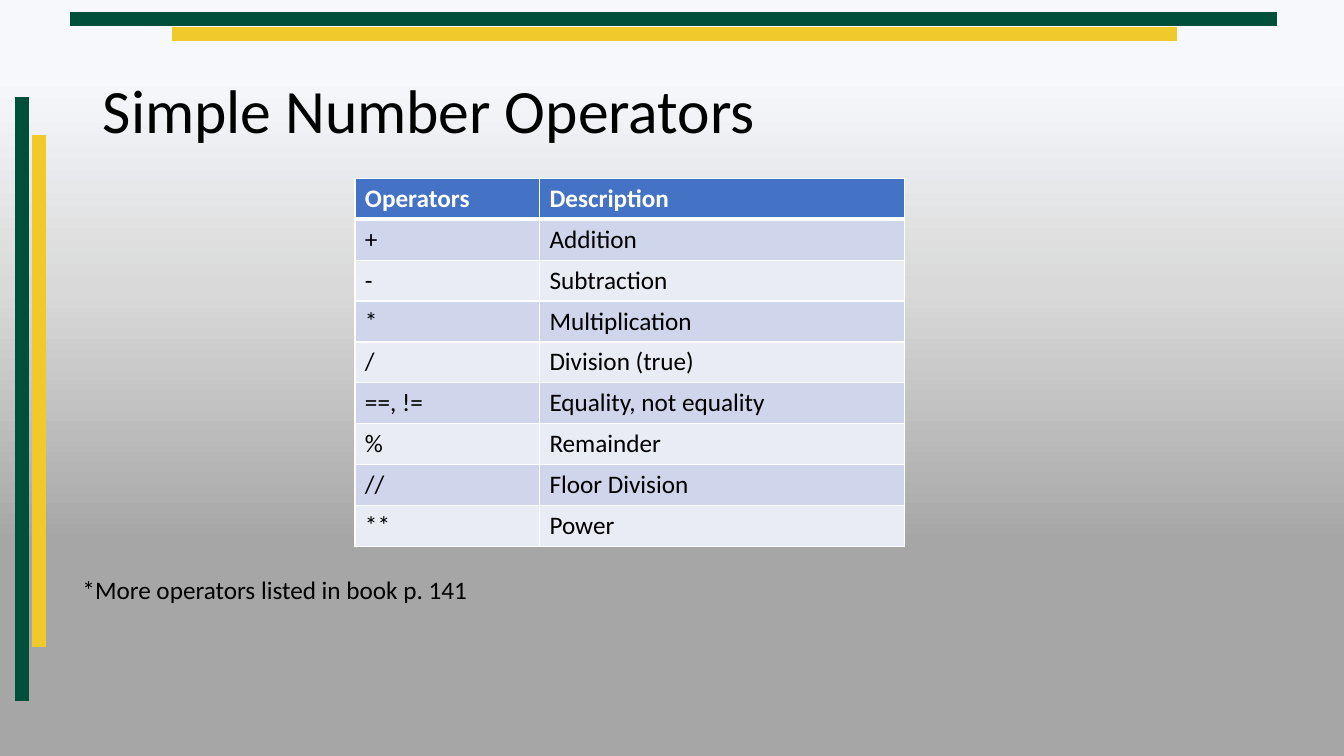
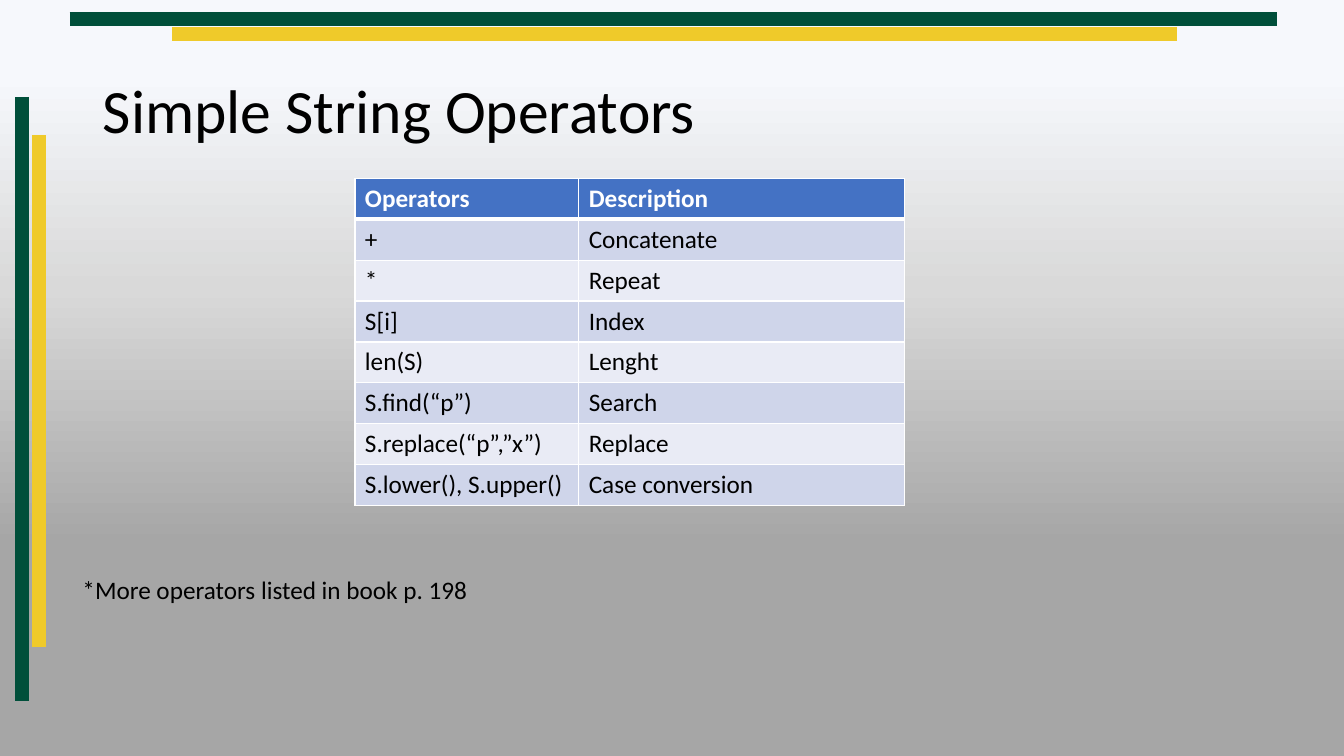
from lxml import etree
from pptx import Presentation
from pptx.dml.color import RGBColor
from pptx.enum.shapes import MSO_CONNECTOR
from pptx.enum.text import MSO_ANCHOR, MSO_AUTO_SIZE, PP_ALIGN
from pptx.oxml import parse_xml
from pptx.oxml.ns import nsdecls, qn
from pptx.util import Inches, Pt

STRAIGHT = MSO_CONNECTOR.STRAIGHT
MIDDLE = MSO_ANCHOR.MIDDLE
NO_FIT, GROW = MSO_AUTO_SIZE.NONE, MSO_AUTO_SIZE.SHAPE_TO_FIT_TEXT
LEFT = PP_ALIGN.LEFT

FONT = "Calibri"
GREEN, YELLOW, BLACK, WHITE = "004F3A", "EFCA2A", "000000", "FFFFFF"
HEADER, ROW_FILLS = "4472C4", ("CFD5EA", "E9EBF5")
STOPS = [(10, "F6F8FC"), (38, "D9D9D9"), (72, "A6A6A6"), (100, "A6A6A6")]
BANDS = [  # x1, y1, x2, y2, colour
    (0.69, 0.19, 12.67, 0.19, GREEN),
    (0.22, 0.96, 0.22, 6.95, GREEN),
    (1.71, 0.34, 11.67, 0.34, YELLOW),
    (0.39, 1.34, 0.39, 6.42, YELLOW),
]
TABLE_WIDTH, ROW_HEIGHT = 5.45, 0.405

PAGES = [  # title, first column width, table rows, footnote
    ("Simple Number Operators", 1.83, [
        ("Operators", "Description"),
        ("+", "Addition"),
        ("-", "Subtraction"),
        ("*", "Multiplication"),
        ("/", "Division (true)"),
        ("==, !=", "Equality, not equality"),
        ("%", "Remainder"),
        ("//", "Floor Division"),
        ("**", "Power"),
    ], "*More operators listed in book p. 141"),
    ("Simple String Operators", 2.22, [
        ("Operators", "Description"),
        ("+", "Concatenate"),
        ("*", "Repeat"),
        ("S[i]", "Index"),
        ("len(S)", "Lenght"),
        ("S.find(“p”)", "Search"),
        ("S.replace(“p”,”x”)", "Replace"),
        ("S.lower(), S.upper()", "Case conversion"),
    ], "*More operators listed in book p. 198"),
]


def rgb(value):
    return RGBColor.from_string(value)


def write(tf, text, size=18, color=BLACK, bold=False, spacing=None):
    p = tf.paragraphs[0]
    p.alignment, p.line_spacing = LEFT, spacing
    r = p.add_run()
    r.text = text
    r.font.name, r.font.size, r.font.bold = FONT, Pt(size), bold
    r.font.color.rgb = rgb(color)


prs = Presentation()
prs.slide_width, prs.slide_height = Inches(13.33), Inches(7.5)
master, layout = prs.slide_master, prs.slide_layouts[5]

# Shared background
fill = master.background.fill
fill.gradient()
fill.gradient_angle = 270
stops = master.element.find(".//" + qn("p:bgPr")).find(".//" + qn("a:gsLst"))
for old in list(stops):
    stops.remove(old)
for pos, color in STOPS:
    stops.append(parse_xml(
        f'<a:gs {nsdecls("a")} pos="{pos * 1000}"><a:srgbClr val="{color}"/></a:gs>'))

# Shared title place
title = layout.placeholders[0]
title.left, title.top = Inches(0.92), Inches(0.4)
title.width, title.height = Inches(11.5), Inches(1.45)
title.text_frame.vertical_anchor = MIDDLE
title.text_frame.auto_size = NO_FIT

slides = [prs.slides.add_slide(layout) for _ in PAGES]

# Shared bands, drawn once and moved to the master
for i, (x1, y1, x2, y2, color) in enumerate(BANDS):
    band = slides[0].shapes.add_connector(
        STRAIGHT, Inches(x1), Inches(y1), Inches(x2), Inches(y2))
    band.line.color.rgb = rgb(color)
    band.line.width = Pt(10)
    etree.SubElement(band.element.spPr, qn("a:effectLst"))
    band.element.nvCxnSpPr.cNvPr.set("id", str(20 + i))
    master.shapes.element.append(band.element)

for s, (heading, first_width, rows, note) in zip(slides, PAGES):
    write(s.shapes.title.text_frame, heading, size=44, spacing=0.9)

    # Operator table
    table = s.shapes.add_table(
        len(rows), 2, Inches(3.52), Inches(1.77),
        Inches(TABLE_WIDTH), Inches(ROW_HEIGHT * len(rows))).table
    table.columns[0].width = Inches(first_width)
    table.columns[1].width = Inches(TABLE_WIDTH - first_width)
    for i, row in enumerate(rows):
        table.rows[i].height = Inches(ROW_HEIGHT)
        head = i == 0
        for j, text in enumerate(row):
            cell = table.cell(i, j)
            write(cell.text_frame, text, color=WHITE if head else BLACK, bold=head)
            tc_pr = cell._tc.get_or_add_tcPr()
            widths = {"L": 1, "R": 1, "T": 3 if i == 1 else 1, "B": 3 if head else 1}
            for side, width in widths.items():
                tc_pr.append(parse_xml(
                    f'<a:ln{side} {nsdecls("a")} w="{Pt(width)}"><a:solidFill>'
                    f'<a:srgbClr val="{WHITE}"/></a:solidFill></a:ln{side}>'))
            cell.fill.solid()
            cell.fill.fore_color.rgb = rgb(HEADER if head else ROW_FILLS[(i - 1) % 2])

    # Footnote
    tf = s.shapes.add_textbox(
        Inches(0.72), Inches(5.65), Inches(4.06), Inches(0.4)).text_frame
    tf.word_wrap = False
    tf.auto_size = GROW
    write(tf, note)

prs.save("out.pptx")
